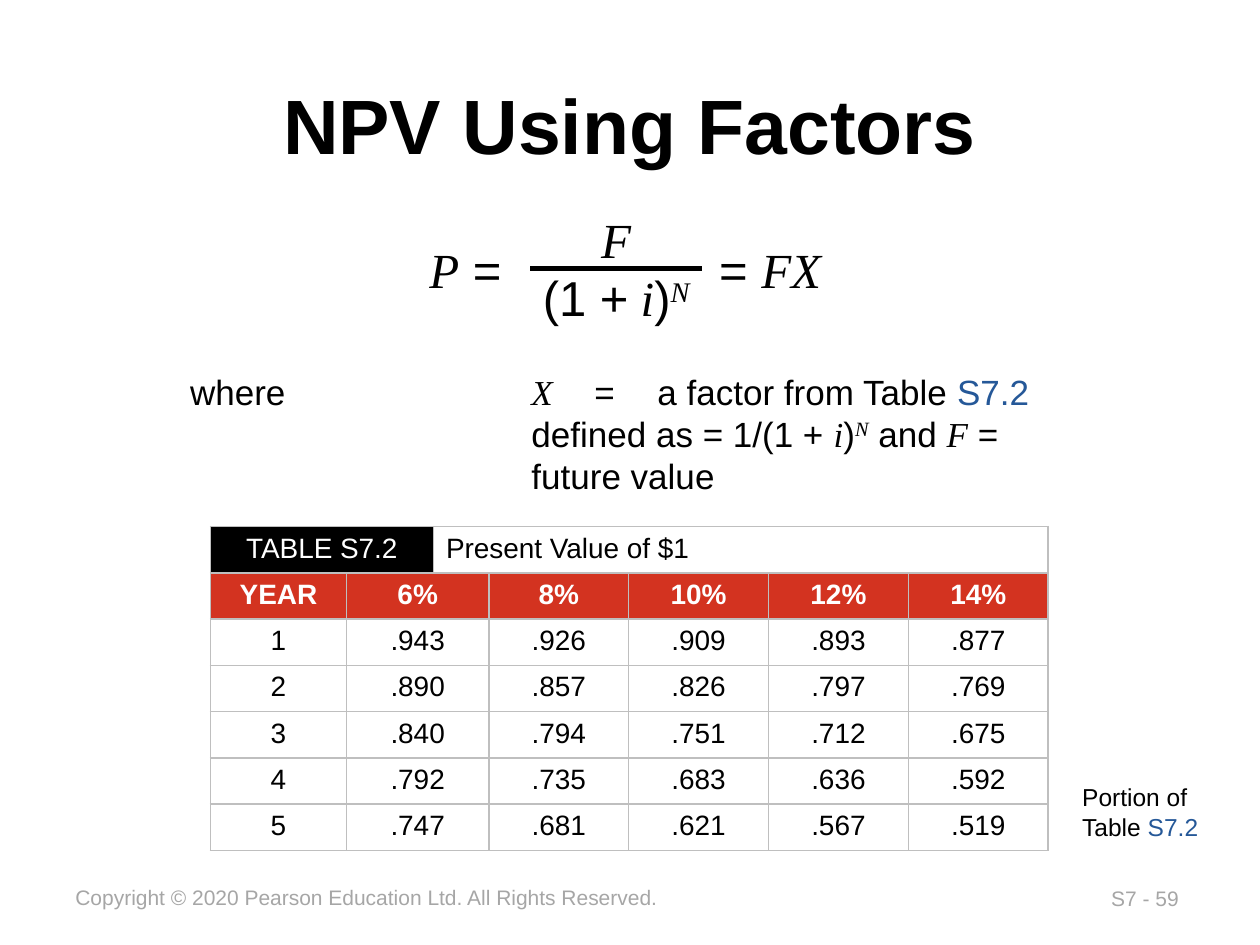
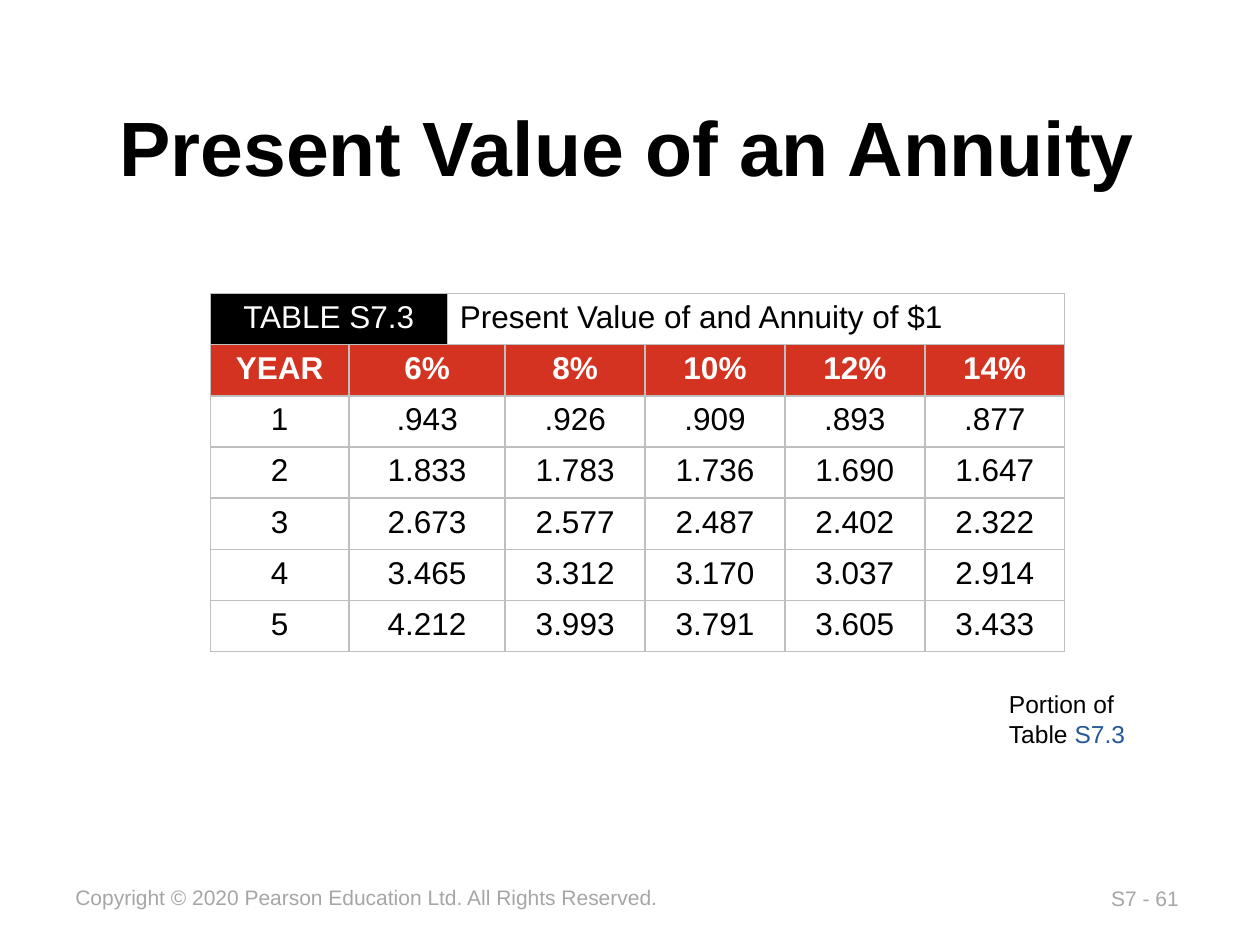
from dataclasses import dataclass
from typing import NamedTuple

from lxml.etree import SubElement
from pptx import Presentation
from pptx.dml.color import RGBColor
from pptx.enum.shapes import MSO_CONNECTOR
from pptx.enum.text import MSO_ANCHOR, PP_ALIGN
from pptx.oxml.ns import qn
from pptx.util import Emu, Inches, Pt

WIDTH, HEIGHT = Inches(10), Inches(7.5)
GRID_COLUMNS, GRID_ROWS = 100, 75
COLORS = {
    "ink": "000000",
    "paper": "FFFFFF",
    "header": "D33320",
    "link": "255898",
    "footer": "A6A6A6",
    "rule": "BFBFBF",
}
MATH = {"name": "Times New Roman", "italic": True}
STYLES = {
    "plain": {},
    "bold": {"bold": True},
    "math": MATH,
    "power": MATH,
}
BORDERS = ("a:lnL", "a:lnR", "a:lnT", "a:lnB")
RATES = ("6%", "8%", "10%", "12%", "14%")
COPYRIGHT = "Copyright © 2020 Pearson Education Ltd. All Rights Reserved."


class Span(NamedTuple):
    text: str
    style: str = "plain"
    color: str = "ink"


class Area(NamedTuple):
    column: float
    row: float
    columns: float
    rows: float


@dataclass
class TextBlock:
    area: Area
    size: int
    paragraphs: list[list[Span]]
    align: PP_ALIGN = PP_ALIGN.LEFT
    anchor: MSO_ANCHOR = MSO_ANCHOR.TOP
    wrap: bool = True
    indent: float = 0
    tabs: tuple[tuple[float, str], ...] = ()


@dataclass
class FactorTable:
    number: str
    caption: str
    column: float
    row: float
    widths: tuple[float, ...]
    row_height: float
    size: int
    factors: list[str]


def across(columns: float) -> Emu:
    return Emu(round(WIDTH * columns / GRID_COLUMNS))


def down(rows: float) -> Emu:
    return Emu(round(HEIGHT * rows / GRID_ROWS))


def rgb(color: str) -> RGBColor:
    return RGBColor.from_string(COLORS[color])


def add_span(paragraph, span: Span, size: int) -> None:
    run = paragraph.add_run()
    run.text = span.text
    values = {"name": "Arial", "size": Pt(size), "bold": False, "italic": False}
    for attribute, value in (values | STYLES[span.style]).items():
        setattr(run.font, attribute, value)
    run.font.color.rgb = rgb(span.color)
    if span.style == "power":
        run._r.get_or_add_rPr().set("baseline", "30000")


def set_tabs(paragraph, block: TextBlock) -> None:
    properties = paragraph._p.get_or_add_pPr()
    if block.indent:
        properties.set("marL", str(across(block.indent)))
        properties.set("indent", str(-across(block.indent)))
    stops = SubElement(properties, qn("a:tabLst"))
    for position, side in block.tabs:
        SubElement(stops, qn("a:tab"), pos=str(across(position)), algn=side)


def draw_text(slide, block: TextBlock) -> None:
    area = block.area
    frame = slide.shapes.add_textbox(
        across(area.column), down(area.row), across(area.columns), down(area.rows)
    ).text_frame
    frame.word_wrap = block.wrap
    frame.vertical_anchor = block.anchor
    for index, spans in enumerate(block.paragraphs):
        paragraph = frame.add_paragraph() if index else frame.paragraphs[0]
        if block.tabs:
            set_tabs(paragraph, block)
        paragraph.alignment = block.align
        for span in spans:
            add_span(paragraph, span, block.size)


def draw_title(slide, title: str, area: Area) -> None:
    draw_text(slide, TextBlock(area, 44, [[Span(title, "bold")]],
                               PP_ALIGN.CENTER, MSO_ANCHOR.MIDDLE))


def draw_footer(slide, page: int) -> None:
    for text, area in (
        (f"S7 - {page}", Area(87.2, 69.8, 7.6, 3)),
        (COPYRIGHT, Area(5, 69.7, 48.6, 3)),
    ):
        draw_text(slide, TextBlock(area, 12, [[Span(text, color="footer")]], wrap=False))


def draw_portion_note(slide, number: str, area: Area) -> None:
    draw_text(slide, TextBlock(
        area, 14, [[Span("Portion of Table "), Span(number, color="link")]]))


def draw_fraction_bar(slide, start: float, end: float, row: float) -> None:
    bar = slide.shapes.add_connector(
        MSO_CONNECTOR.STRAIGHT, across(start), down(row), across(end), down(row))
    bar.line.color.rgb = rgb("ink")
    bar.line.width = Pt(3)
    SubElement(bar._element.spPr, qn("a:effectLst"))


def set_cell_format(cell, fill: str) -> None:
    properties = cell._tc.get_or_add_tcPr()
    for side in BORDERS:
        border = SubElement(properties, qn(side), w=str(Pt(1)))
        paint = SubElement(border, qn("a:solidFill"))
        SubElement(paint, qn("a:srgbClr"), val=COLORS["rule"])
    cell.fill.solid()
    cell.fill.fore_color.rgb = rgb(fill)


def fill_cell(cell, span: Span, size: int, align: PP_ALIGN = PP_ALIGN.CENTER) -> None:
    paragraph = cell.text_frame.paragraphs[0]
    paragraph.alignment = align
    add_span(paragraph, span, size)


def draw_factor_table(slide, spec: FactorTable) -> None:
    body = [(str(year), *line.split()) for year, line in enumerate(spec.factors, 1)]
    lines = [("YEAR", *RATES), *body]
    row_count, column_count = len(lines) + 1, len(spec.widths)
    table = slide.shapes.add_table(
        row_count, column_count, across(spec.column), down(spec.row),
        across(sum(spec.widths)), down(spec.row_height * row_count)).table
    for column, width in zip(table.columns, spec.widths):
        column.width = across(width)
    for index, row in enumerate(table.rows):
        row.height = down(spec.row_height)
        for position, cell in enumerate(row.cells):
            label = index == 0 and position < 2
            set_cell_format(cell, "ink" if label else "header" if index == 1 else "paper")

    table.cell(0, 0).merge(table.cell(0, 1))
    table.cell(0, 2).merge(table.cell(0, column_count - 1))
    fill_cell(table.cell(0, 0), Span(f"TABLE {spec.number}", color="paper"), spec.size)
    fill_cell(table.cell(0, 2), Span(spec.caption), spec.size, PP_ALIGN.LEFT)
    for index, line in enumerate(lines, 1):
        table.cell(index, 1).merge(table.cell(index, 2))
        style, color = ("bold", "paper") if index == 1 else ("plain", "ink")
        for position, text in zip((0, 1, 3, 4, 5, 6), line):
            fill_cell(table.cell(index, position), Span(text, style, color), spec.size)


def draw_formula(slide) -> None:
    draw_text(slide, TextBlock(
        Area(33.1, 18.5, 34.7, 5.7), 28,
        [[Span("P", "math"), Span(" =\t= "), Span("FX", "math")]],
        tabs=((23, "l"),)))
    draw_text(slide, TextBlock(
        Area(41.5, 16.1, 14.8, 10.4), 28,
        [[Span("F", "math")],
         [Span("(1 +"), Span(" i", "math"), Span(")"), Span("N", "power")]],
        align=PP_ALIGN.CENTER, wrap=False))
    draw_fraction_bar(slide, 42.1, 55.7, 21.3)


def draw_definition(slide) -> None:
    draw_text(slide, TextBlock(
        Area(14.1, 28.9, 71.5, 11.1), 20,
        [[Span("where\t"), Span("X", "math"), Span("\t=\ta factor from Table "),
          Span("S7.2", color="link"), Span(" defined as = 1/(1 + "),
          Span("i", "math"), Span(")"), Span("N", "power"), Span(" and "),
          Span("F", "math"), Span(" = future value")]],
        indent=27.1, tabs=((20.8, "r"), (22.9, "l"))))


def build_npv_slide(slide) -> None:
    draw_footer(slide, 59)
    draw_title(slide, "NPV Using Factors", Area(7.5, 4.8, 85, 10.1))
    draw_formula(slide)
    draw_definition(slide)
    draw_portion_note(slide, "S7.2", Area(84.9, 61.6, 12.8, 5.7))
    draw_factor_table(slide, FactorTable(
        "S7.2", "Present Value of $1", 16.7, 41.8,
        (10.8, 6.9, 4.4, *[11.1] * 4), 3.67, 16,
        [".943 .926 .909 .893 .877",
         ".890 .857 .826 .797 .769",
         ".840 .794 .751 .712 .675",
         ".792 .735 .683 .636 .592",
         ".747 .681 .621 .567 .519"]))


def build_annuity_slide(slide) -> None:
    draw_footer(slide, 61)
    draw_title(slide, "Present Value of an Annuity", Area(6, 6.5, 87.6, 10.1))
    draw_portion_note(slide, "S7.3", Area(79.1, 54.2, 13.6, 5.7))
    draw_factor_table(slide, FactorTable(
        "S7.3", "Present Value of and Annuity of $1", 16.7, 23.3,
        (11, 7.8, 4.6, *[11.1] * 4), 4.06, 18,
        [".943 .926 .909 .893 .877",
         "1.833 1.783 1.736 1.690 1.647",
         "2.673 2.577 2.487 2.402 2.322",
         "3.465 3.312 3.170 3.037 2.914",
         "4.212 3.993 3.791 3.605 3.433"]))


def main() -> None:
    deck = Presentation()
    deck.slide_width, deck.slide_height = WIDTH, HEIGHT
    for build in (build_npv_slide, build_annuity_slide):
        build(deck.slides.add_slide(deck.slide_layouts[6]))
    deck.save("out.pptx")


if __name__ == "__main__":
    main()
